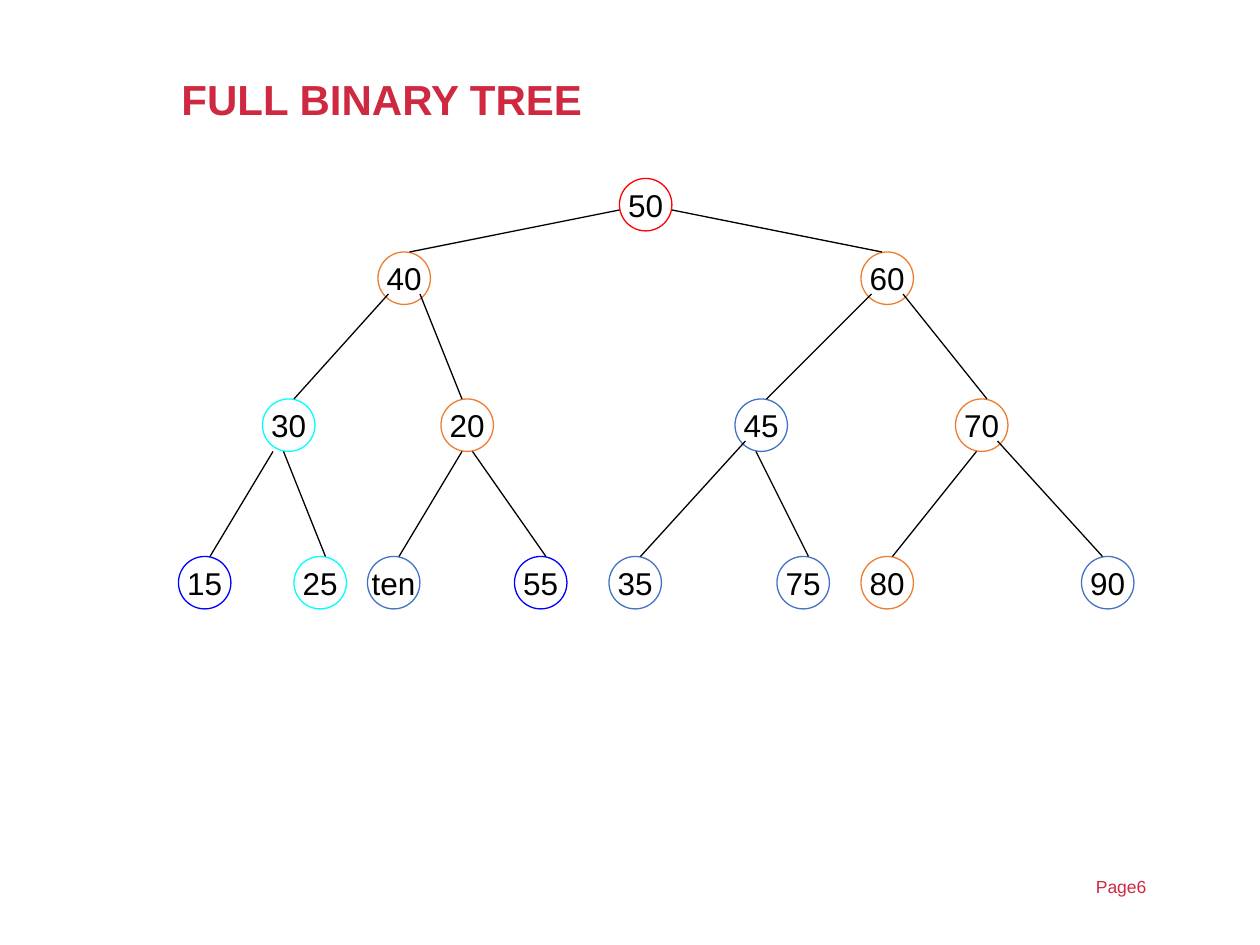
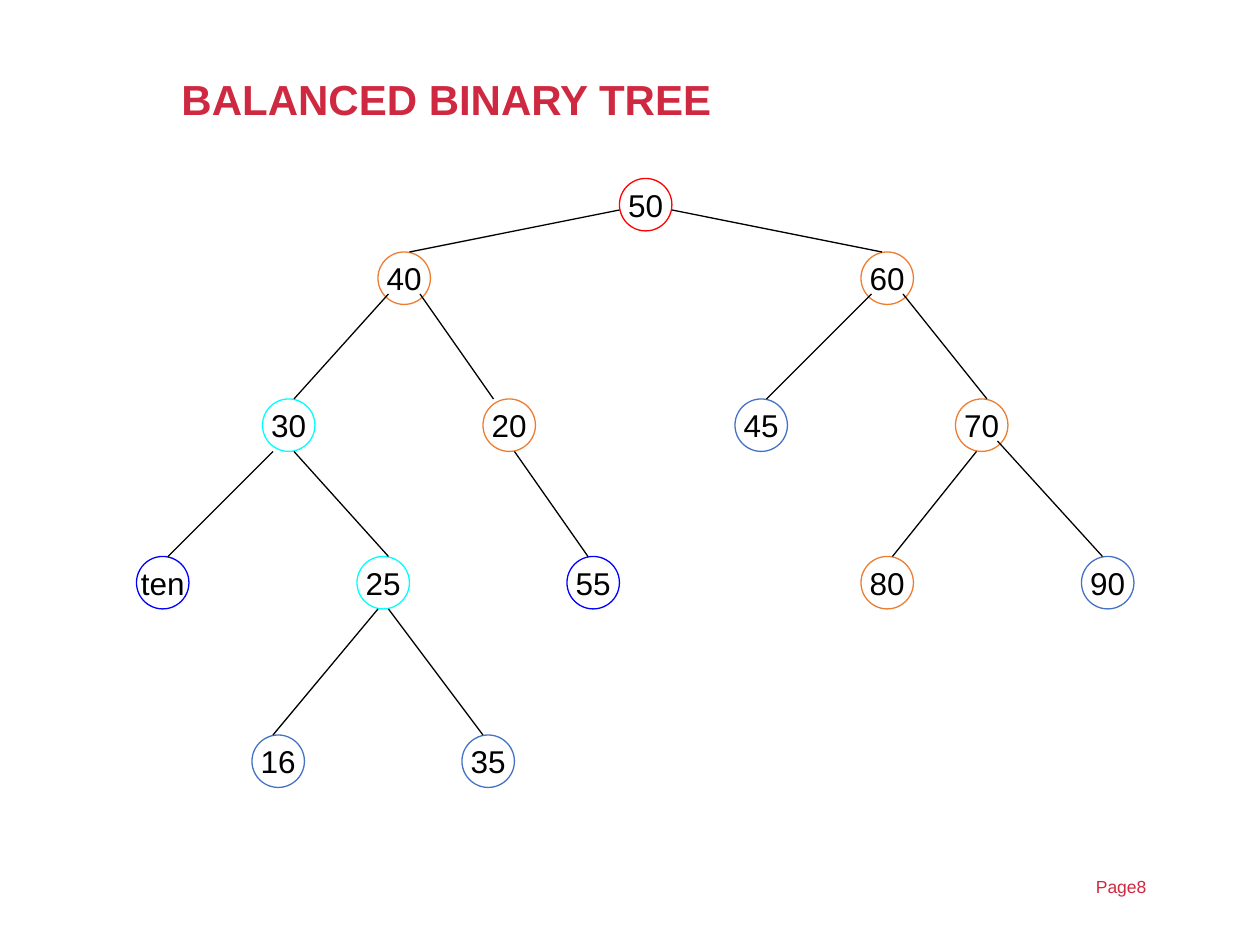
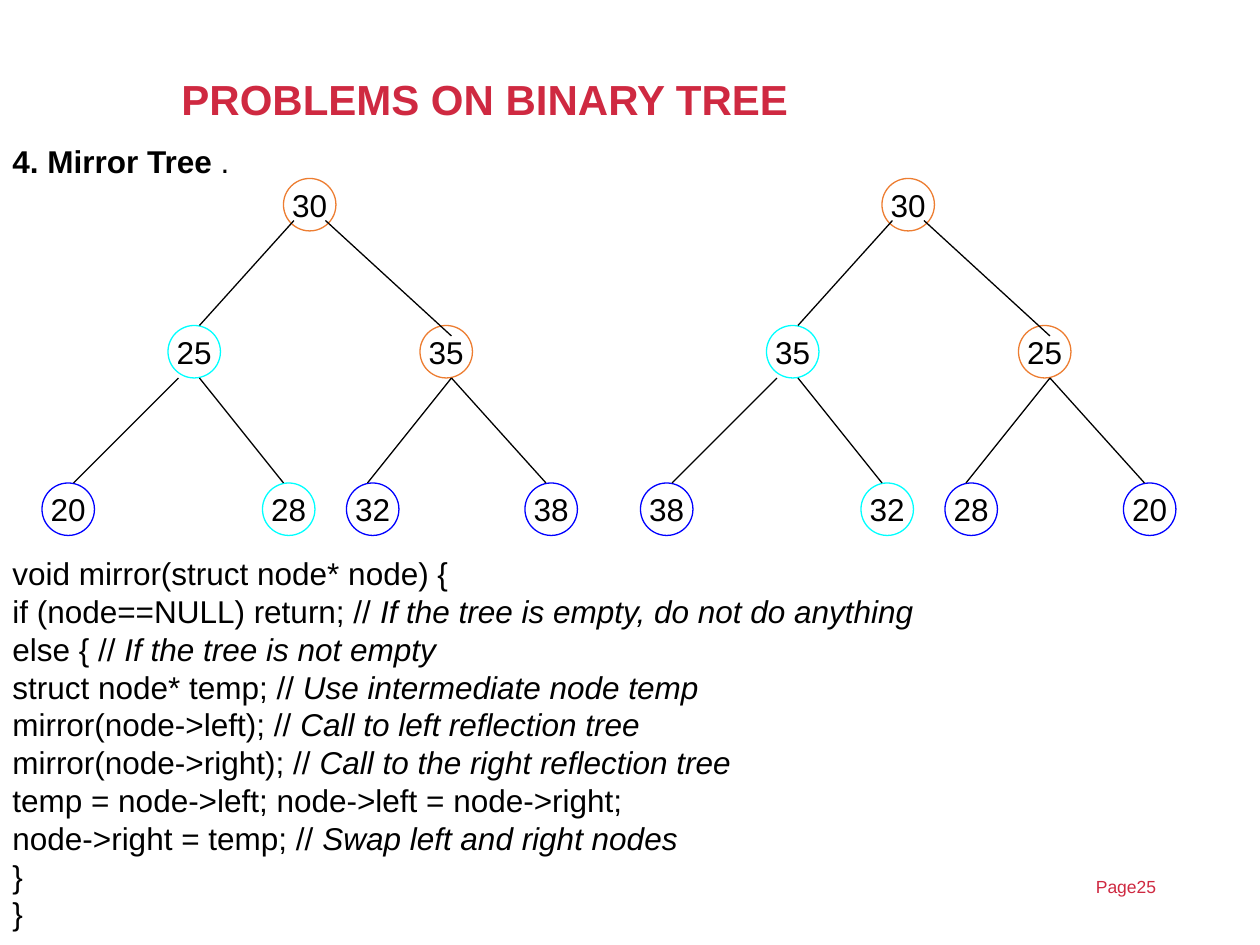
from collections import namedtuple

from lxml.etree import SubElement
from pptx import Presentation
from pptx.dml.color import RGBColor
from pptx.enum.shapes import MSO_CONNECTOR, MSO_SHAPE
from pptx.enum.text import MSO_ANCHOR, PP_ALIGN
from pptx.oxml.ns import qn
from pptx.util import Inches, Pt

CRIMSON = RGBColor(0xCF, 0x29, 0x41)
BLACK = RGBColor(0, 0, 0)
RED = RGBColor(0xFF, 0, 0)
ORANGE = RGBColor(0xED, 0x7D, 0x31)
CYAN = RGBColor(0, 0xFF, 0xFF)
BLUE = RGBColor(0, 0, 0xFF)
STEEL = RGBColor(0x44, 0x72, 0xC4)

FONT = "Arial"
THIN = Pt(0.75)
GRID_PER_INCH = 12
NODE_SIZE = 5  # grid steps
TREE_TOP = 17 / GRID_PER_INCH

# Columns and rows are grid steps from the tree's corner; leave and arrive are
# grid steps from the corners of the parent and of the node itself.
Node = namedtuple("Node", "label column row color parent leave arrive",
                  defaults=(None, None, (3, 0)))

RIGHT_BRANCH_AND_TOP = [
    Node("50", 46, 0, RED),
    Node("40", 23, 7, ORANGE, "50", (0, 3)),
    Node("60", 69, 7, ORANGE, "50", (5, 3), (2, 0)),
    Node("30", 12, 21, CYAN, "40", (1, 4)),
    Node("45", 57, 21, STEEL, "60", (1, 4)),
    Node("70", 78, 21, ORANGE, "60", (4, 4)),
    Node("80", 69, 36, ORANGE, "70", (2, 5)),
    Node("90", 90, 36, STEEL, "70", (4, 4), (2, 0)),
]
FULL_TREE = RIGHT_BRANCH_AND_TOP + [
    Node("20", 29, 21, ORANGE, "40", (4, 4), (2, 0)),
    Node("15", 4, 36, BLUE, "30", (1, 5)),
    Node("25", 15, 36, CYAN, "30", (2, 5)),
    Node("ten", 22, 36, STEEL, "20", (2, 5)),
    Node("55", 36, 36, BLUE, "20", (3, 5)),
    Node("35", 45, 36, STEEL, "45", (1, 4)),
    Node("75", 61, 36, STEEL, "45", (2, 5)),
]
BALANCED_TREE = RIGHT_BRANCH_AND_TOP + [
    Node("20", 33, 21, ORANGE, "40", (4, 4), (1, 0)),
    Node("ten", 0, 36, BLUE, "30", (1, 5)),
    Node("25", 21, 36, CYAN, "30", (3, 5)),
    Node("55", 41, 36, BLUE, "20", (3, 5), (2, 0)),
    Node("16", 11, 53, STEEL, "25", (2, 5), (2, 0)),
    Node("35", 31, 53, STEEL, "25", (3, 5), (2, 0)),
]

MIRROR_CODE = [
    ("void mirror(struct node* node) {", ""),
    ("if (node==NULL) return; // ", "If the tree is empty, do not do anything"),
    ("else { // ", "If the tree is not empty"),
    ("struct node* temp; // ", "Use intermediate node temp"),
    ("mirror(node->left); // ", "Call to left reflection tree"),
    ("mirror(node->right); // ", "Call to the right reflection tree"),
    ("temp = node->left; node->left = node->right;", ""),
    ("node->right = temp; // ", "Swap left and right nodes"),
    ("}", ""),
    ("}", ""),
]


def three_level_tree(root, left, right, *leaves):
    outer_left, inner_left, inner_right, outer_right = leaves
    return [
        Node(root, 23, 0, ORANGE),
        Node(left, 12, 14, CYAN, root, (1, 4)),
        Node(right, 36, 14, ORANGE, root, (4, 4), (3, 1)),
        Node(outer_left, 0, 29, BLUE, left, (1, 5)),
        Node(inner_left, 21, 29, CYAN, left, (3, 5), (2, 0)),
        Node(inner_right, 29, 29, BLUE, right, (3, 5), (2, 0)),
        Node(outer_right, 46, 29, BLUE, right, (3, 5), (2, 0)),
    ]


def add_run(paragraph, text, size=18, color=BLACK, bold=False, italic=False):
    run = paragraph.add_run()
    run.text = text
    font = run.font
    font.name, font.size, font.bold, font.italic = FONT, Pt(size), bold, italic
    font.color.rgb = color


def add_text_frame(slide, left, top, width, height):
    box = slide.shapes.add_textbox(*map(Inches, (left, top, width, height)))
    box.text_frame.word_wrap = True
    return box.text_frame


def start_slide(deck, heading, page):
    """Add a slide with its heading and page label."""
    slide = deck.slides.add_slide(deck.slide_layouts[5])
    title = slide.shapes.title
    title.left, title.top = Inches(1.34), Inches(0.4)
    title.width, title.height = Inches(7.98), Inches(0.82)
    title.text_frame.vertical_anchor = MSO_ANCHOR.MIDDLE
    line = title.text_frame.paragraphs[0]
    line.alignment, line.line_spacing = PP_ALIGN.LEFT, 0.9
    add_run(line, heading, 24, CRIMSON, bold=True)
    page_label = add_text_frame(slide, 8.6, 6.9, 1.2, 0.28)
    add_run(page_label.paragraphs[0], f"Page{page}", 10, CRIMSON)
    return slide


def draw_node(slide, node, left, top):
    circle = slide.shapes.add_shape(
        MSO_SHAPE.OVAL,
        Inches(left + node.column / GRID_PER_INCH),
        Inches(top + node.row / GRID_PER_INCH),
        *[Inches(NODE_SIZE / GRID_PER_INCH)] * 2)
    circle.shadow.inherit = False
    circle.fill.background()
    circle.line.color.rgb = node.color
    circle.line.width = THIN
    frame = circle.text_frame
    frame.word_wrap = False
    frame.vertical_anchor = MSO_ANCHOR.MIDDLE
    frame.paragraphs[0].alignment = PP_ALIGN.CENTER
    add_run(frame.paragraphs[0], node.label)


def draw_branch(slide, parent, child, left, top):
    ends = []
    for node, (across, down) in ((parent, child.leave), (child, child.arrive)):
        ends += [Inches(left + (node.column + across) / GRID_PER_INCH),
                 Inches(top + (node.row + down) / GRID_PER_INCH)]
    branch = slide.shapes.add_connector(MSO_CONNECTOR.STRAIGHT, *ends)
    branch.line.color.rgb = BLACK
    branch.line.width = THIN
    SubElement(branch._element.spPr, qn("a:effectLst"))


def draw_tree(slide, nodes, left, top=TREE_TOP):
    by_label = {node.label: node for node in nodes}
    for node in nodes:
        draw_node(slide, node, left, top)
    for node in nodes:
        if node.parent:
            draw_branch(slide, by_label[node.parent], node, left, top)


def draw_code(slide, left, top, width, height):
    frame = add_text_frame(slide, left, top, width, height)
    for number, (statement, comment) in enumerate(MIRROR_CODE):
        line = frame.add_paragraph() if number else frame.paragraphs[0]
        add_run(line, statement)
        if comment:
            add_run(line, comment, italic=True)


def add_tree_slide(deck, heading, page, nodes):
    slide = start_slide(deck, heading, page)
    draw_tree(slide, nodes, 13 / GRID_PER_INCH)


def add_mirror_slide(deck):
    slide = start_slide(deck, "PROBLEMS ON BINARY TREE", 25)
    problem = add_text_frame(slide, 0, 1.08, 6.91, 0.4).paragraphs[0]
    problem.alignment, problem.space_before = PP_ALIGN.JUSTIFY, Pt(6)
    add_run(problem, "4. Mirror Tree ", bold=True)
    add_run(problem, ".")
    before = three_level_tree("30", "25", "35", "20", "28", "32", "38")
    after = three_level_tree("30", "35", "25", "38", "32", "28", "20")
    draw_tree(slide, before, 4 / GRID_PER_INCH)
    draw_tree(slide, after, 61 / GRID_PER_INCH)
    draw_code(slide, 0, 4.35, 10, 3.13)


def main():
    deck = Presentation()
    deck.slide_width, deck.slide_height = Inches(10), Inches(7.5)
    add_tree_slide(deck, "FULL BINARY TREE", 6, FULL_TREE)
    add_tree_slide(deck, "BALANCED BINARY TREE", 8, BALANCED_TREE)
    add_mirror_slide(deck)
    deck.save("out.pptx")


if __name__ == "__main__":
    main()
